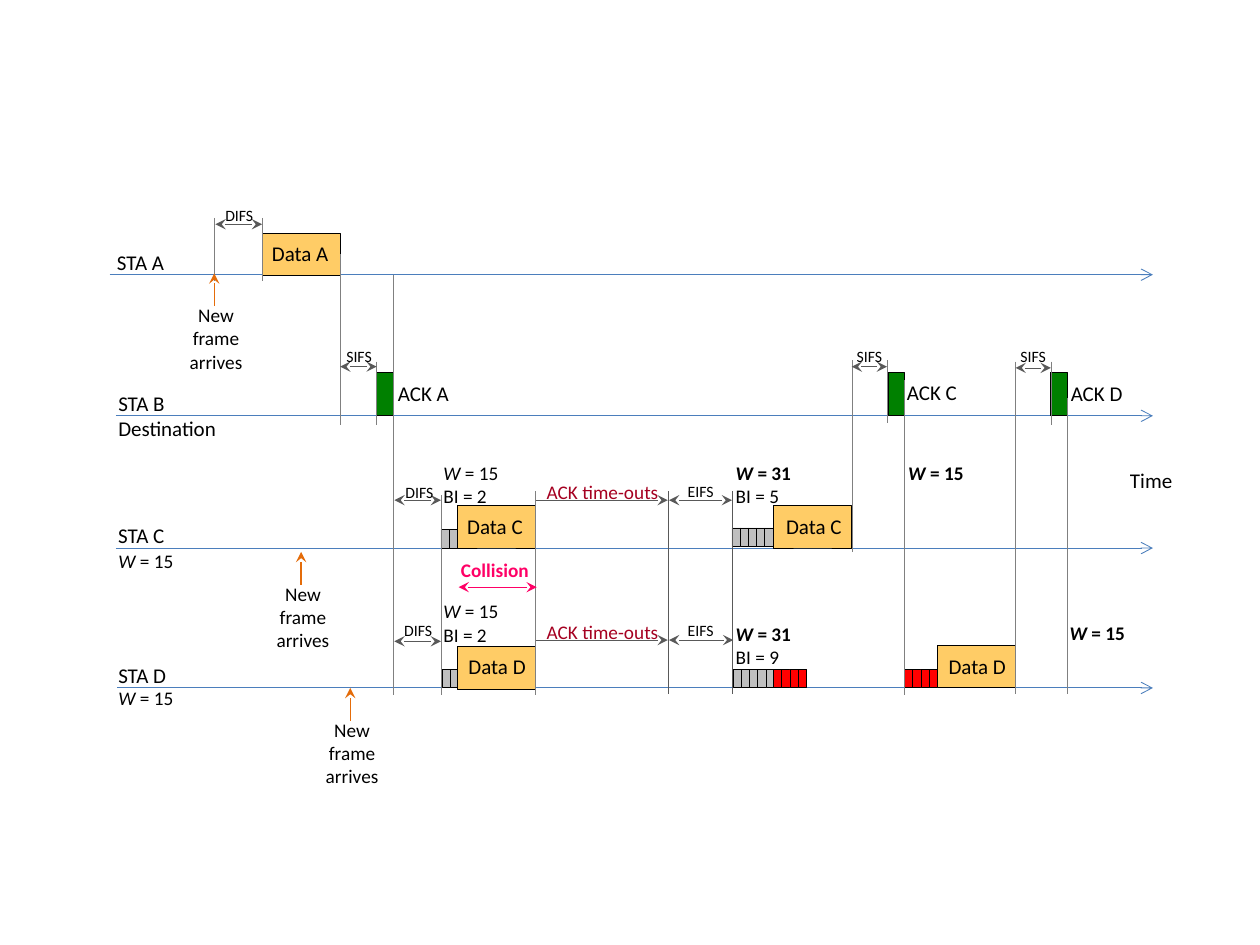
import pptx
import pptx.util
import pptx.dml.color
import pptx.enum.shapes
import pptx.enum.text
import pptx.oxml.xmlchemy
from pptx.util import Inches, Pt
from pptx.dml.color import RGBColor

BLACK = RGBColor(0x00, 0x00, 0x00)
AXIS_BLUE = RGBColor(0x4B, 0x7E, 0xBC)
GUIDE_GRAY = RGBColor(0x80, 0x80, 0x80)
DARK_GRAY = RGBColor(0x59, 0x59, 0x59)
ARRIVAL_ORANGE = RGBColor(0xE4, 0x6C, 0x0A)
COLLISION_PINK = RGBColor(0xFF, 0x00, 0x66)
TIMEOUT_RED = RGBColor(0xA5, 0x00, 0x21)
DATA_YELLOW = RGBColor(0xFF, 0xCC, 0x66)
ACK_GREEN = RGBColor(0x00, 0x80, 0x00)
SLOT_GRAY = RGBColor(0xBF, 0xBF, 0xBF)
SLOT_RED = RGBColor(0xFF, 0x00, 0x00)

deck = pptx.Presentation()
deck.slide_width, deck.slide_height = Inches(10), Inches(7.5)
page = deck.slides.add_slide(deck.slide_layouts[6])


def add_line(x1, y1, x2, y2, color, width=0.25, head=None, tail=None):
    """Draw a straight line; head and tail are arrowhead types at its start and end."""
    line = page.shapes.add_connector(
        pptx.enum.shapes.MSO_CONNECTOR.STRAIGHT,
        Inches(x1), Inches(y1), Inches(x2), Inches(y2))
    line.line.color.rgb = color
    line.line.width = Pt(width)
    outline = line.line._get_or_add_ln()
    for tag, kind in (("a:headEnd", head), ("a:tailEnd", tail)):
        if kind:
            end = pptx.oxml.xmlchemy.OxmlElement(tag)
            end.set("type", kind)
            outline.append(end)
    line._element.spPr.append(pptx.oxml.xmlchemy.OxmlElement("a:effectLst"))


def add_label(text, left, top, width, size, color=BLACK, bold=False, center=False):
    """Add a label; a leading "W" is italic, and bold applies to the first paragraph."""
    lines = [text] if center else text.split("\n")
    height = 0.1 + size / 60 * (3 if center else len(lines))
    box = page.shapes.add_textbox(Inches(left), Inches(top), Inches(width), Inches(height))
    frame = box.text_frame
    frame.word_wrap = False
    frame.auto_size = pptx.enum.text.MSO_AUTO_SIZE.SHAPE_TO_FIT_TEXT
    for index, line_text in enumerate(lines):
        para = frame.add_paragraph() if index else frame.paragraphs[0]
        if center:
            para.alignment = pptx.enum.text.PP_ALIGN.CENTER
        if line_text.startswith("W"):
            para.text = "W"
            para.runs[0].font.italic = True
            para.add_run().text = line_text[1:]
        else:
            para.text = line_text
        for span in para.runs:
            span.font.name = "Calibri"
            span.font.size = Pt(size)
            span.font.color.rgb = color
            span.font.bold = bold and index == 0


# Time axes of the four stations
for left, y in ((0.87, 2.18), (0.92, 3.3), (0.92, 4.35), (0.93, 5.46)):
    add_line(left, y, 9.15, y, AXIS_BLUE, 0.5, tail="arrow")

# Data frames, acknowledgements and backoff slots
blocks = [(x, y, 0.62, 0.34, DATA_YELLOW) for x, y in (
    (2.08, 1.85), (3.63, 4.01), (6.14, 4.01), (3.63, 5.13), (7.44, 5.12))]
blocks += [(x, 2.96, 0.13, 0.34, ACK_GREEN) for x in (2.99, 7.05, 8.34)]
SLOT_PITCH = 0.065
for start, y, count, color in (
    (3.5, 4.2, 2, SLOT_GRAY), (3.51, 5.31, 2, SLOT_GRAY),
    (5.81, 4.19, 5, SLOT_GRAY), (5.82, 5.31, 5, SLOT_GRAY),
    (6.14, 5.31, 4, SLOT_RED), (7.18, 5.31, 4, SLOT_RED),
):
    blocks += [(start + SLOT_PITCH * slot, y, 0.07, 0.15, color) for slot in range(count)]
# Narrow slots go first so that the data frames cover their edges
for left, top, width, height, color in sorted(blocks, key=lambda block: block[2]):
    block = page.shapes.add_shape(
        pptx.enum.shapes.MSO_SHAPE.RECTANGLE,
        Inches(left), Inches(top), Inches(width), Inches(height))
    block.shadow.inherit = False
    block.fill.solid()
    block.fill.fore_color.rgb = color
    block.line.color.rgb = BLACK
    block.line.width = Pt(0.5)

# Vertical guides
for x, top, bottom in (
    (1.7, 1.73, 2.23), (2.08, 1.73, 2.23), (2.7, 2.02, 3.37), (2.99, 2.87, 3.37),
    (3.12, 2.18, 5.52), (3.5, 3.93, 5.52), (4.25, 3.9, 5.52), (6.76, 2.86, 4.38),
    (7.04, 2.86, 3.36), (7.18, 3.02, 5.52), (8.06, 2.87, 5.51), (8.34, 2.87, 3.37),
    (8.47, 3.16, 5.51),
):
    add_line(x, top, x, bottom, GUIDE_GRAY)
for x in (5.3, 5.81):
    add_line(x, 3.9, x, 5.51, DARK_GRAY)

# Interframe spaces: arrow start, end and height, then label position
for text, x1, x2, y, left, top in (
    ("DIFS", 1.71, 2.08, 1.78, 1.69, 1.58),
    ("SIFS", 2.7, 2.99, 2.91, 2.65, 2.7),
    ("SIFS", 6.76, 7.04, 2.91, 6.7, 2.7),
    ("SIFS", 8.06, 8.34, 2.92, 8, 2.7),
    ("DIFS", 3.13, 3.5, 3.97, 3.12, 3.78),
    ("DIFS", 3.13, 3.5, 5.09, 3.11, 4.88),
    ("EIFS", 5.31, 5.81, 3.97, 5.36, 3.77),
    ("EIFS", 5.31, 5.82, 5.08, 5.36, 4.88),
):
    add_line(x1, y, x2, y, DARK_GRAY, head="stealth", tail="stealth")
    add_label(text, left, top, 0.43 if text == "DIFS" else 0.41, 9)

# Time-outs and collision
for y in (3.97, 5.08):
    add_line(4.25, y, 5.3, y, DARK_GRAY, tail="stealth")
    add_label("ACK time-outs", 4.24, y - 0.21, 1.09, 11, TIMEOUT_RED)
add_line(3.64, 4.66, 4.26, 4.66, COLLISION_PINK, head="stealth", tail="stealth")
add_label("Collision", 3.56, 4.38, 0.75, 11, COLLISION_PINK, bold=True)

# Frame arrivals
for x, tip in ((1.7, 2.17), (2.39, 4.38), (2.78, 5.46)):
    add_line(x, tip + 0.26, x, tip, ARRIVAL_ORANGE, 0.75, tail="stealth")
    add_label("New\nframe\narrives", x - 0.3, tip + 0.19, 0.63, 11, center=True)

# Names of stations and frames
for text, left, top, width in (
    ("STA A", 0.83, 1.93, 0.58), ("STA B", 0.84, 3.05, 0.58),
    ("STA C", 0.84, 4.1, 0.57), ("STA D", 0.84, 5.21, 0.59),
    ("Destination", 0.84, 3.25, 0.99), ("Time", 8.87, 3.66, 0.54),
    ("Data A", 2.06, 1.86, 0.66), ("Data C", 3.61, 4.03, 0.65),
    ("Data C", 6.14, 4.03, 0.65), ("Data D", 3.62, 5.14, 0.66),
    ("Data D", 7.43, 5.14, 0.66), ("ACK A", 3.06, 2.97, 0.61),
    ("ACK C", 7.1, 2.96, 0.6), ("ACK D", 8.4, 2.97, 0.62),
):
    add_label(text, left, top, width, 12)

# Contention windows and backoff intervals
for text, left, top, bold in (
    ("W = 15", 0.84, 4.31, False), ("W = 15", 0.84, 5.4, False),
    ("W = 15\nBI = 2", 3.42, 3.61, False), ("W = 15\nBI = 2", 3.42, 4.71, False),
    ("W = 31\nBI = 5", 5.74, 3.61, True), ("W = 31\nBI = 9", 5.74, 4.89, True),
    ("W = 15", 7.11, 3.61, True), ("W = 15", 8.39, 4.88, True),
):
    add_label(text, left, top, 0.65, 11, bold=bold)

deck.save("out.pptx")
